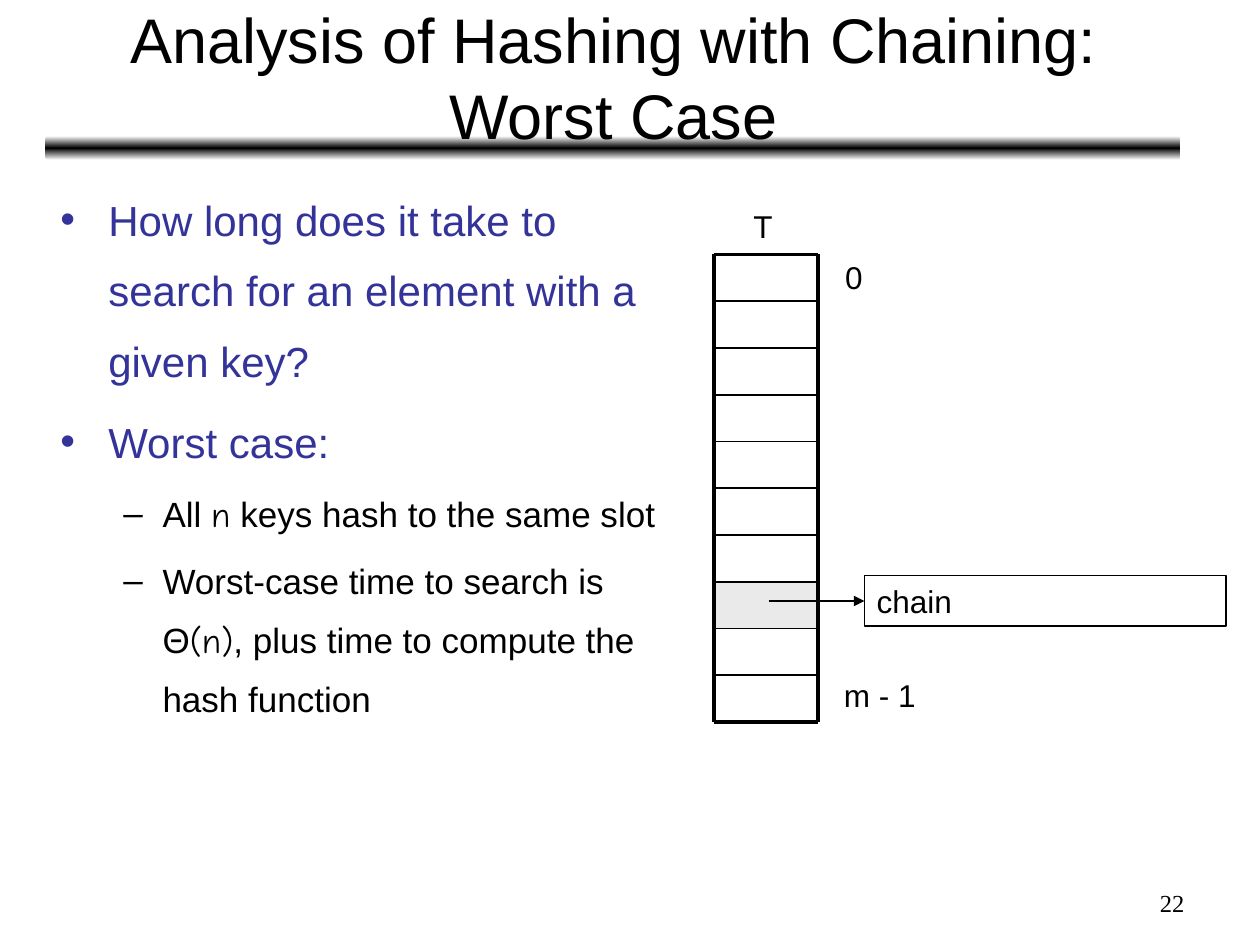
from copy import deepcopy

from pptx import Presentation, util as u
from pptx.dml.color import RGBColor
from pptx.enum import shapes, text
from pptx.oxml import ns, xmlchemy

BLACK = RGBColor(0x00, 0x00, 0x00)
WHITE = RGBColor(0xFF, 0xFF, 0xFF)
BLUE = RGBColor(0x33, 0x33, 0x99)
GREY = RGBColor(0xEA, 0xEA, 0xEA)
COLUMNS, ROWS = 100, 75
LEVELS = [
    {"size": 24, "color": BLUE, "mark": "•", "margin": 0.38, "hang": -0.38, "before": 6},
    {"size": 20, "color": BLACK, "mark": "–", "margin": 0.81, "hang": -0.31, "before": 5},
]


def add_xml(parent, tag, **values):
    child = xmlchemy.OxmlElement(tag)
    for key, value in values.items():
        child.set(key, str(value))
    parent.append(child)
    return child


class HashSlide:
    """Draws on one slide with lengths given in grid columns and rows."""

    def __init__(self, deck):
        self.slide = deck.slides.add_slide(deck.slide_layouts[1])
        self.shapes = self.slide.shapes
        self.column = deck.slide_width / COLUMNS
        self.row = deck.slide_height / ROWS

    def box(self, left, top, width, height):
        return [round(length * unit) for length, unit in
                zip((left, top, width, height), (self.column, self.row) * 2)]

    def place(self, holder, area):
        for side, length in zip(("left", "top", "width", "height"), self.box(*area)):
            setattr(holder, side, length)

    def style(self, run, size, color=BLACK, face="Arial"):
        for key, value in {"size": u.Pt(size), "name": face}.items():
            setattr(run.font, key, value)
        run.font.color.rgb = color

    def frame(self, frame, **values):
        for key, value in {"auto_size": text.MSO_AUTO_SIZE.NONE, "word_wrap": True, **values}.items():
            setattr(frame, key, value)

    def title(self, words, area):
        title = self.shapes.title
        self.place(title, area)
        self.frame(title.text_frame, vertical_anchor=text.MSO_ANCHOR.MIDDLE)
        heading = title.text_frame.paragraphs[0]
        heading.text = words
        heading.alignment = text.PP_ALIGN.CENTER
        for run in heading.runs:
            self.style(run, 36)

    def bullets(self, items, area):
        body = self.slide.placeholders[1]
        self.place(body, area)
        self.frame(body.text_frame, vertical_anchor=text.MSO_ANCHOR.TOP)
        for index, (level, parts) in enumerate(items):
            look = LEVELS[level]
            point = body.text_frame.paragraphs[0] if index == 0 else body.text_frame.add_paragraph()
            point.level = level
            props = point._p.get_or_add_pPr()
            props.set("marL", str(u.Inches(look["margin"])))
            props.set("indent", str(u.Inches(look["hang"])))
            add_xml(add_xml(props, "a:buClr"), "a:srgbClr", val=look["color"])
            add_xml(props, "a:buFont", typeface="Arial")
            add_xml(props, "a:buChar", char=look["mark"])
            point.line_spacing = 1.4
            point.space_before = u.Pt(look["before"] if index else 0)
            for words, face in parts:
                run = point.add_run()
                run.text = words
                self.style(run, look["size"], look["color"], face)

    def label(self, words, area, size=18, face="Arial", align=text.PP_ALIGN.LEFT, wrap=False):
        label = self.shapes.add_textbox(*self.box(*area))
        self.frame(label.text_frame, word_wrap=wrap)
        line = label.text_frame.paragraphs[0]
        line.alignment = align
        run = line.add_run()
        run.text = words
        self.style(run, size, face=face)

    def rect(self, area, fill=None, border=None, words="", kind=shapes.MSO_SHAPE.RECTANGLE):
        rect = self.shapes.add_shape(kind, *self.box(*area))
        rect.shadow.inherit = False
        if fill is None:
            rect.fill.background()
        else:
            rect.fill.solid()
            rect.fill.fore_color.rgb = fill
        if border is None:
            rect.line.fill.background()
        else:
            rect.line.color.rgb = BLACK
            rect.line.width = u.Pt(border)
        if words:
            self.frame(rect.text_frame, vertical_anchor=text.MSO_ANCHOR.TOP)
            line = rect.text_frame.paragraphs[0]
            line.alignment = text.PP_ALIGN.LEFT
            run = line.add_run()
            run.text = words
            self.style(run, 18)
        return rect

    def title_bar(self, area):
        bar = self.rect(area, kind=shapes.MSO_SHAPE.ROUNDED_RECTANGLE)
        bar.fill.gradient()
        bar.fill.gradient_angle = 90
        stops = bar._element.spPr.find(".//" + ns.qn("a:gsLst"))
        stops.append(deepcopy(stops[0]))
        for stop, place, color in zip(bar.fill.gradient_stops, (0, 0.5, 1), (WHITE, BLACK, WHITE)):
            stop.position = place
            stop.color.rgb = color
        self.shapes._spTree.insert(2, bar._element)

    def line(self, start, end, width, target=None):
        line = self.shapes.add_connector(shapes.MSO_CONNECTOR.STRAIGHT, *self.box(*start, *end))
        line.line.color.rgb = BLACK
        line.line.width = u.Pt(width)
        if target is not None:
            line.end_connect(target, 1)
            add_xml(line.line._get_or_add_ln(), "a:tailEnd", type="triangle")
        add_xml(line._element.spPr, "a:effectLst")

    def hash_table(self, left, top, width, slot, count, used):
        right, bottom = left + width, top + slot * count
        self.rect((left, top + used * slot, width, slot), fill=GREY)
        for index in range(count + 1):
            edge = top + index * slot
            self.line((left, edge), (right, edge), 2.25 if index in (0, count) else 1)
        for side in (left, right):
            self.line((side, top), (side, bottom), 2.25)


def main():
    deck = Presentation()
    deck.slide_width, deck.slide_height = u.Inches(10), u.Inches(7.5)
    page = HashSlide(deck)
    page.title_bar((3.6, 10.8, 90.1, 1.9))
    page.title("Analysis of Hashing with Chaining:\vWorst Case", (3.7, 1.1, 90, 9.9))
    page.bullets([
        (0, [("How long does it take to search for an element with a given key?", "Arial")]),
        (0, [("Worst case:", "Arial")]),
        (1, [("All ", "Arial"), ("n", "Comic Neue"), (" keys hash to the same slot", "Arial")]),
        (1, [("Worst-case time to search is Θ", "Arial"), ("(n)", "Comic Neue"),
             (", plus time to compute the hash function", "Arial")]),
    ], (3.8, 13.3, 51.3, 59))
    page.hash_table(left=56.7, top=20.2, width=8.2, slot=3.71, count=10, used=7)
    page.label("0", (66.1, 20, 3.4, 4))
    page.label("m - 1", (66, 53.2, 7.7, 4))
    page.label("T", (58.8, 15.9, 3.5, 4))
    chain = page.rect((68.6, 45.7, 28.7, 4), border=0.75, words="chain")
    page.line((61, 47.7), (68.6, 47.7), 0.75, target=chain)
    page.label("22", (71.7, 70, 23.3, 3.5), size=14, face="Times New Roman",
               align=text.PP_ALIGN.RIGHT, wrap=True)
    deck.save("out.pptx")


if __name__ == "__main__":
    main()
